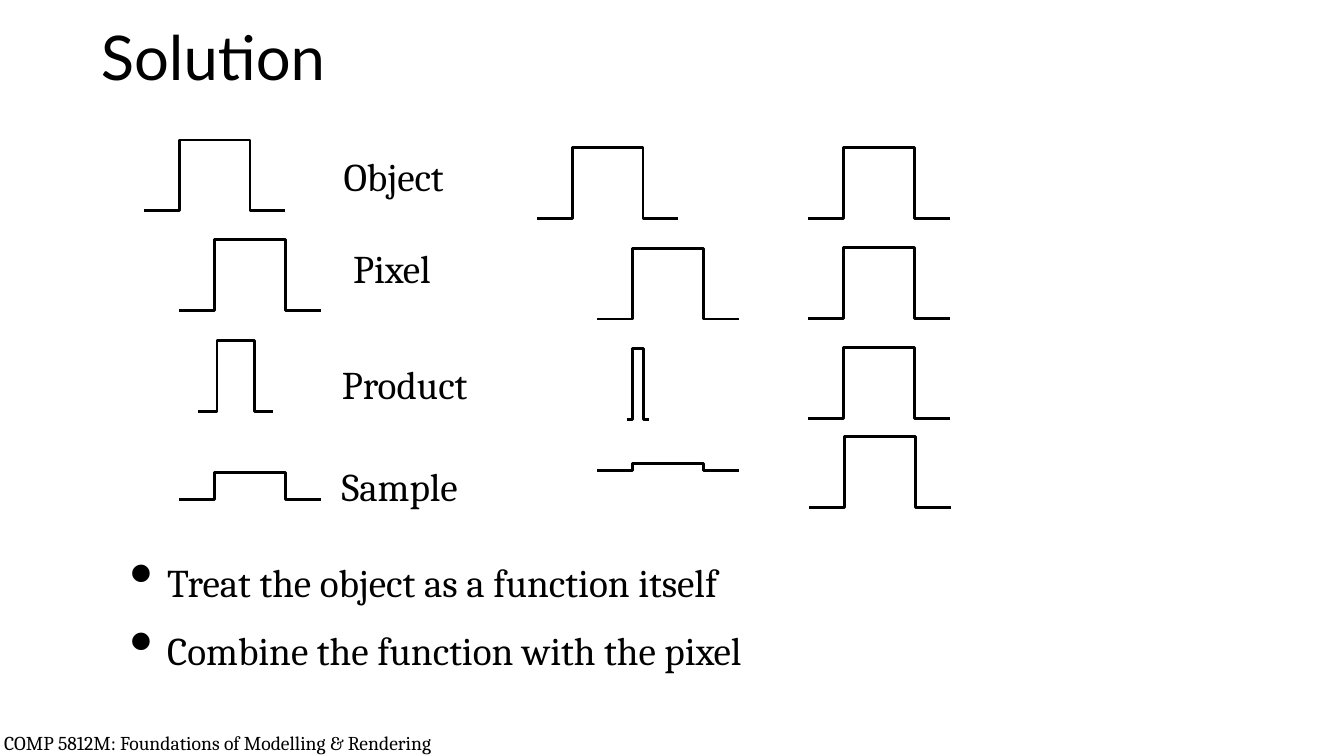
from dataclasses import dataclass

from lxml import etree
from pptx import Presentation
from pptx.dml.color import RGBColor
from pptx.enum.shapes import MSO_CONNECTOR
from pptx.enum.text import MSO_ANCHOR, PP_ALIGN
from pptx.oxml.ns import qn
from pptx.util import Pt

ELBOW = MSO_CONNECTOR.ELBOW
TOP, MIDDLE = MSO_ANCHOR.TOP, MSO_ANCHOR.MIDDLE
LEFT, CENTER = PP_ALIGN.LEFT, PP_ALIGN.CENTER


@dataclass(frozen=True)
class Theme:
    ink: RGBColor = RGBColor(0, 0, 0)
    title_font: str = "Lato"
    body_font: str = "Cambria"
    title_size: float = 44
    body_size: float = 28
    footer_size: float = 14
    line_width: float = 2


THEME = Theme()
FULL = 50.6

LABELS = [
    ("Object", 238.3, 105.1, 85.7),
    ("Pixel", 246.2, 171.4, 67.7),
    ("Product", 236.2, 254.2, 105.8),
    ("Sample", 236.2, 326.9, 98.6),
]

PARTIAL_OVERLAP = [
    (153.3, 100, FULL, FULL),
    (178.6, 171.2, FULL, FULL),
    (168.3, 243.2, 26.6, FULL),
    (178.6, 337.6, FULL, 19.2),
]
SLIGHT_OVERLAP = [
    (434, 105.6, FULL, FULL),
    (477, 177.3, FULL, FULL),
    (455.8, 249, 7.9, FULL),
    (477, 331, FULL, 5),
]
FULL_OVERLAP = [
    (628, 105.6, FULL, FULL),
    (628, 176.7, FULL, FULL),
    (628, 248.2, FULL, FULL),
    (628.7, 311.6, FULL, FULL),
]

BULLETS = [
    "Treat the object as a function itself",
    "Combine the function with the pixel",
]


def add_bullet(p, *, margin, hanging, percent):
    pPr = p._p.get_or_add_pPr()
    pPr.set("marL", str(Pt(margin)))
    pPr.set("indent", str(-Pt(hanging)))
    etree.SubElement(pPr, qn("a:buSzPct")).set("val", str(percent * 1000))
    etree.SubElement(pPr, qn("a:buChar")).set("char", "•")


def write(tf, lines, *, size, font=THEME.body_font, align=LEFT, anchor=TOP,
          spacing=None, gap=0, inset=None, wrap=True, bullet=None):
    tf.word_wrap = wrap
    tf.vertical_anchor = anchor
    if inset is not None:
        tf.margin_left = tf.margin_right = Pt(inset)
        tf.margin_top = tf.margin_bottom = Pt(inset)
    for i, line in enumerate(lines):
        p = tf.add_paragraph() if i else tf.paragraphs[0]
        p.alignment = align
        p.line_spacing = spacing
        p.space_before = Pt(gap if i else 0)
        if bullet:
            add_bullet(p, **bullet)
        r = p.add_run()
        r.text = line
        r.font.name = font
        r.font.size = Pt(size)
        r.font.color.rgb = THEME.ink


def add_text(slide, box, lines, **fmt):
    sp = slide.shapes.add_textbox(*map(Pt, box))
    write(sp.text_frame, lines, **fmt)


def add_title(slide, box, text):
    sp = slide.shapes.title
    sp.left, sp.top, sp.width, sp.height = map(Pt, box)
    write(sp.text_frame, [text], size=THEME.title_size,
          font=THEME.title_font, anchor=MIDDLE, spacing=0.9)


def add_pulse(slide, center, top, reach, height):
    for end in (center + reach, center - reach):
        cn = slide.shapes.add_connector(
            ELBOW, Pt(center), Pt(top), Pt(end), Pt(top + height))
        cn.line.color.rgb = THEME.ink
        cn.line.width = Pt(THEME.line_width)
        etree.SubElement(cn._element.spPr, qn("a:effectLst"))


def main():
    prs = Presentation()
    prs.slide_width, prs.slide_height = Pt(960), Pt(540)
    slide = prs.slides.add_slide(prs.slide_layouts[5])

    add_text(slide, (-1.4, 513.4, 454.3, 28),
             ["COMP 5812M: Foundations of Modelling & Rendering"],
             size=THEME.footer_size, spacing=Pt(21), inset=4.3)
    add_title(slide, (64.8, 3.6, 842.4, 79.9), "Solution")
    add_text(slide, (72, 383, 699, 117.4), BULLETS, size=THEME.body_size,
             anchor=MIDDLE, spacing=0.9, gap=18.3,
             bullet={"margin": 40.3, "hanging": 26.6, "percent": 171})

    for text, left, top, width in LABELS:
        add_text(slide, (left, top, width, 40.3), [text],
                 size=THEME.body_size, align=CENTER, anchor=MIDDLE,
                 spacing=Pt(33.8), inset=2.9, wrap=False)
    for pulses in (PARTIAL_OVERLAP, SLIGHT_OVERLAP, FULL_OVERLAP):
        for pulse in pulses:
            add_pulse(slide, *pulse)

    prs.save("out.pptx")


if __name__ == "__main__":
    main()
